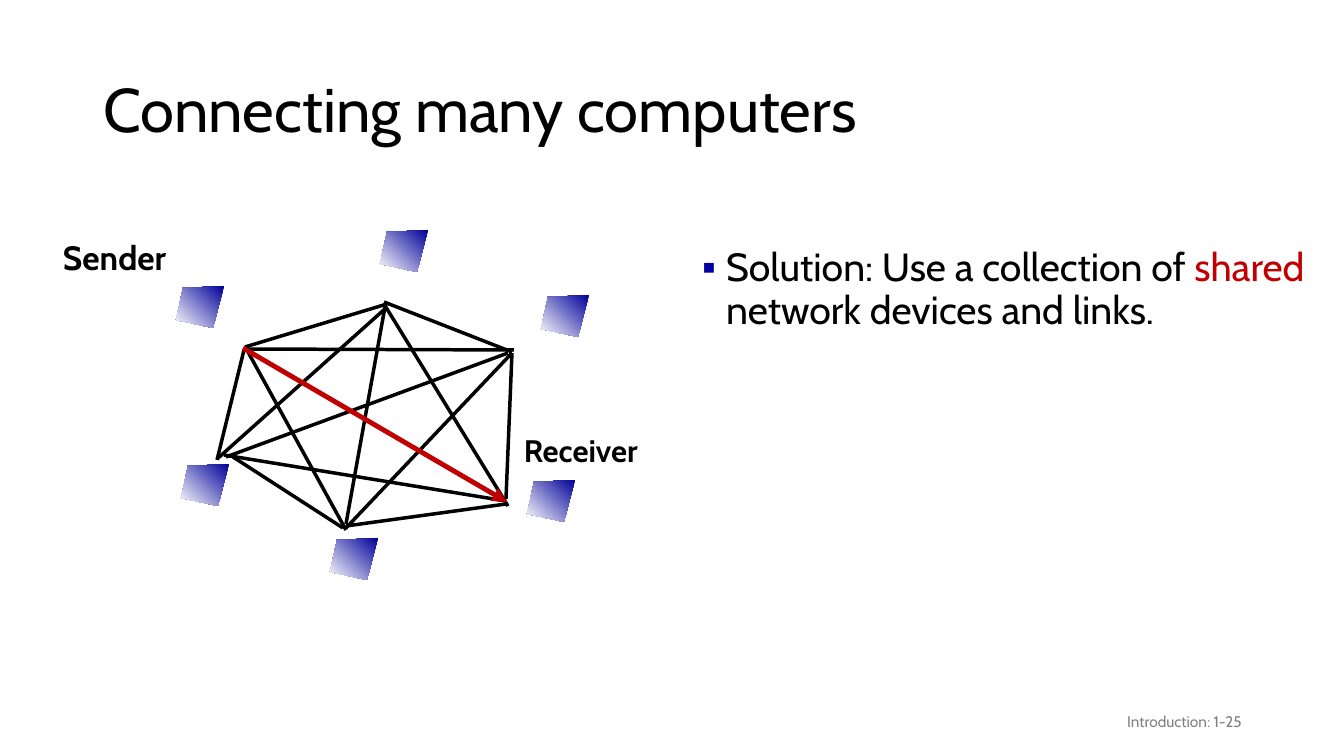
import pptx
import pptx.util
import pptx.dml.color
import pptx.enum.shapes
import pptx.enum.text
import pptx.oxml.ns
import lxml.etree

EMU_PER_PX = 914400 / 100.8
COLORS = {"ink": "000000", "accent": "C00000", "footer": "808080",
          "bullet": "0000A3", "screen": "000099", "glow": "FFFFFF"}
ALIGN = pptx.enum.text.PP_ALIGN
ANCHOR = pptx.enum.text.MSO_ANCHOR
qn = pptx.oxml.ns.qn


def px(*lengths):
    return [round(length * EMU_PER_PX) for length in lengths]


def write(holder, box, runs, size, anchor=ANCHOR.TOP, align=ALIGN.LEFT,
          spacing=1.0, margin=0, indent=0, bullet=None, bold=False):
    holder.left, holder.top, holder.width, holder.height = px(*box)
    frame = holder.text_frame
    frame.word_wrap = True
    frame.auto_size = pptx.enum.text.MSO_AUTO_SIZE.NONE
    frame.vertical_anchor = anchor
    paragraph = frame.paragraphs[0]
    paragraph.alignment = align
    paragraph.line_spacing = spacing
    paragraph.space_before = pptx.util.Pt(0)
    properties = paragraph._p.get_or_add_pPr()
    properties.set("marL", str(px(margin)[0]))
    properties.set("indent", str(px(indent)[0]))
    if bullet:
        bullet_color = lxml.etree.SubElement(properties, qn("a:buClr"))
        lxml.etree.SubElement(bullet_color, qn("a:srgbClr"), val=COLORS["bullet"])
        lxml.etree.SubElement(properties, qn("a:buChar"), char=bullet)
    for words, color in runs:
        run = paragraph.add_run()
        run.text = words
        run.font.name = "Cabin"
        run.font.size = pptx.util.Pt(size)
        run.font.bold = bold
        run.font.color.rgb = pptx.dml.color.RGBColor.from_string(COLORS[color])


deck = pptx.Presentation()
deck.slide_width, deck.slide_height = px(1344, 756)
slide = deck.slides.add_slide(deck.slide_layouts[1])
shapes = slide.shapes

write(shapes.title, (93, 40, 1159, 146), [("Connecting many computers", "ink")],
      44, anchor=ANCHOR.MIDDLE, spacing=0.9)
page_number = shapes.add_textbox(0, 0, 0, 0)
write(page_number, (950, 701, 302, 40), [("Introduction: 1-25", "footer")],
      11, anchor=ANCHOR.MIDDLE, align=ALIGN.RIGHT)

for left, top in [(176, 286), (527, 480), (380, 230),
                  (541, 295), (330, 538), (181, 464)]:
    outline = shapes.build_freeform(left + 48, top, scale=EMU_PER_PX)
    outline.add_line_segments([(left + 7, top + 2), (left, top + 34),
                               (left + 37, top + 42)], close=True)
    screen = outline.convert_to_shape()
    screen.shadow.inherit = False
    screen.line.fill.background()
    screen.fill.gradient()
    screen.fill.gradient_angle = 225
    for stop, color in zip(screen.fill.gradient_stops, ("screen", "glow")):
        stop.color.rgb = pptx.dml.color.RGBColor.from_string(COLORS[color])

mesh_links = [
    (245, 347, 387, 304), (248, 349, 514, 350), (248, 352, 346, 530),
    (244, 350, 217, 460), (512, 352, 384, 302), (508, 506, 384, 304),
    (346, 524, 385, 307), (217, 459, 386, 308), (506, 499, 512, 353),
    (346, 528, 512, 353), (226, 457, 508, 353), (346, 526, 506, 504),
    (224, 455, 506, 501), (343, 528, 233, 457),
]
sender_to_receiver = (243, 348, 507, 502)
for ends in mesh_links + [sender_to_receiver]:
    chosen = ends == sender_to_receiver
    link = shapes.add_connector(pptx.enum.shapes.MSO_CONNECTOR.STRAIGHT, *px(*ends))
    link.line.width = pptx.util.Pt(3.5 if chosen else 2.5)
    link.line.color.rgb = pptx.dml.color.RGBColor.from_string(
        COLORS["accent" if chosen else "ink"])
    if chosen:
        lxml.etree.SubElement(link.line._get_or_add_ln(), qn("a:tailEnd"), type="triangle")
    lxml.etree.SubElement(link._element.spPr, qn("a:effectLst"))

for role, box, size, spacing in [("Sender", (39, 240, 150, 45), 24, 0.8),
                                 ("Receiver", (500, 431, 165, 45), 22.2, 0.9)]:
    write(shapes.add_textbox(0, 0, 0, 0), box, [(role, "ink")], size,
          spacing=spacing, margin=14, bold=True)

write(slide.placeholders[1], (677, 243, 649, 355),
      [("Solution: Use a collection of ", "ink"), ("shared", "accent"),
       (" network devices and links.", "ink")],
      28, spacing=0.9, margin=39, indent=-24, bullet="▪")

deck.save("out.pptx")
